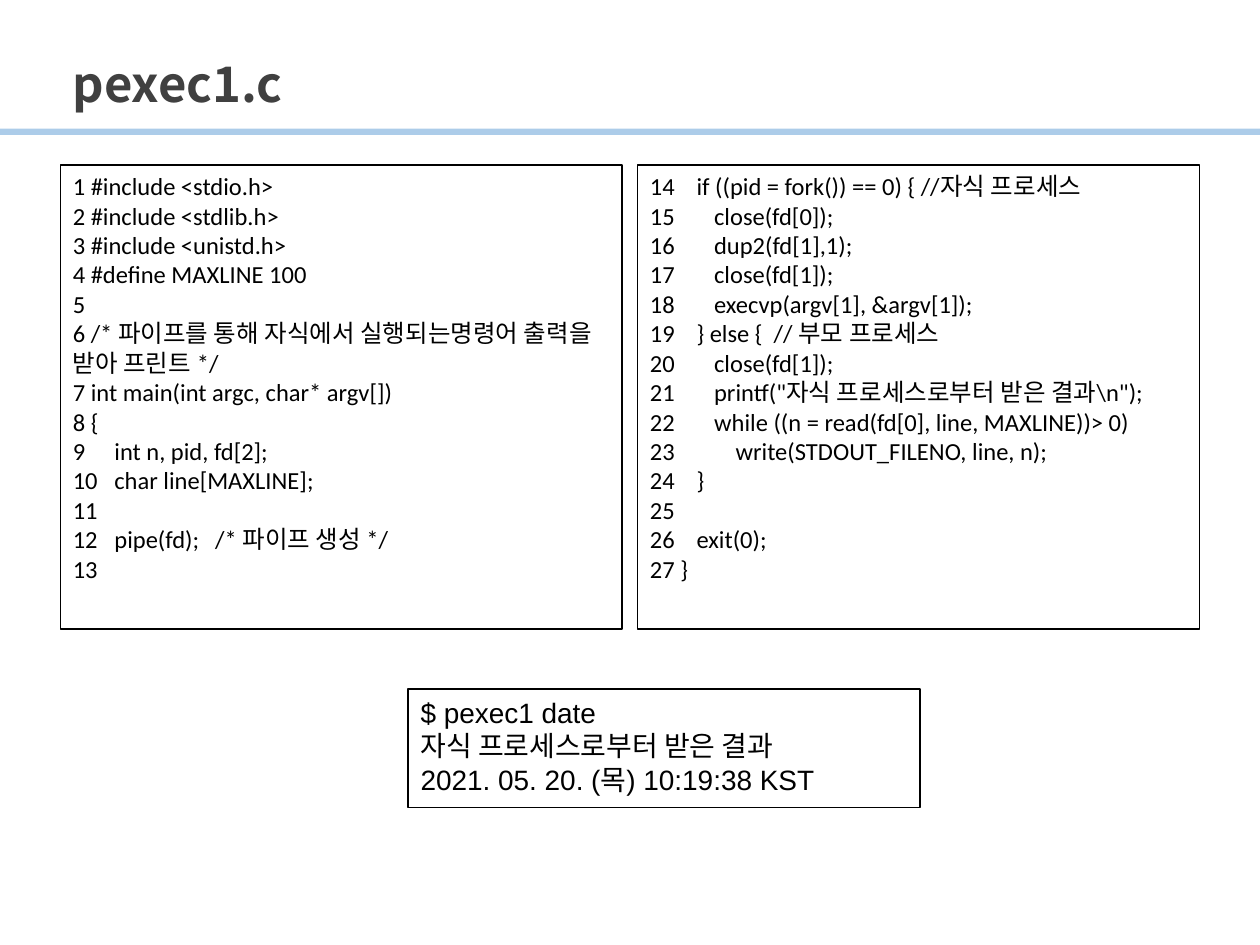
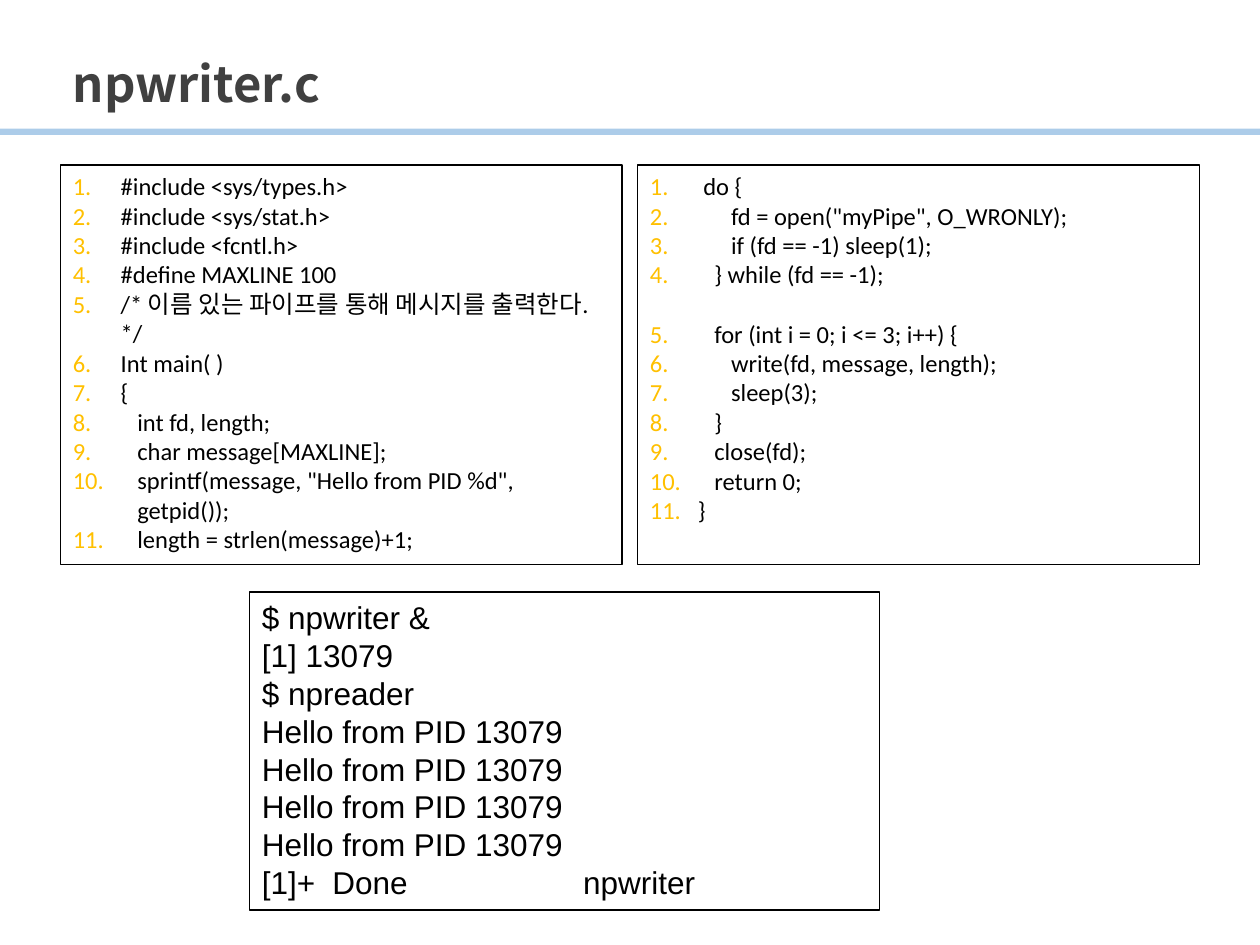
"""Build two slides of C pipe programs with their terminal output."""
import lxml.etree
import pptx
import pptx.dml.color
import pptx.enum.shapes
import pptx.enum.text
import pptx.oxml.ns
import pptx.util

Inches = pptx.util.Inches
Pt = pptx.util.Pt
qn = pptx.oxml.ns.qn

COLORS = {
    "paper": "FFFFFF",
    "ink": "000000",
    "title": "404040",
    "band": "5B9BD5",
    "number": "FFC000",
}
PANE_LEFTS = (0.48, 5.06)
PANE_TOP = 1.31
PANE_WIDTH = 4.46
NUMBER_INDENT = 0.38
SPACE_WIDTH = 0.044
CODE_SIZE = 14
BLANK_LINE = 17

PEXEC_PANES = (
    (
        (0.33, 1.13),
        """1 #include <stdio.h>
2 #include <stdlib.h>
3 #include <unistd.h>
4 #define MAXLINE 100
5
6 /* 파이프를 통해 자식에서 실행되는명령어 출력을 받아 프린트 */
7 int main(int argc, char* argv[])
8 {
9\tint n, pid, fd[2];
10\tchar line[MAXLINE];
11
12\tpipe(fd);\t/* 파이프 생성 */
13""",
    ),
    (
        (0.37, 0.51, 0.68),
        """14\tif ((pid = fork()) == 0) { //자식 프로세스
15\t\tclose(fd[0]);
16\t\tdup2(fd[1],1);
17\t\tclose(fd[1]);
18\t\texecvp(argv[1], &argv[1]);
19\t} else {  // 부모 프로세스
20\t\tclose(fd[1]);
21\t\tprintf("자식 프로세스로부터 받은 결과\\n");
22\t\twhile ((n = read(fd[0], line, MAXLINE))> 0)
23\t\t\twrite(STDOUT_FILENO, line, n);
24\t}
25
26\texit(0);
27 }""",
    ),
)
PEXEC_OUTPUT = """$ pexec1 date
자식 프로세스로부터 받은 결과
2021. 05. 20. (목) 10:19:38 KST"""

NPWRITER_PANES = (
    """#include <sys/types.h>
#include <sys/stat.h>
#include <fcntl.h>
#define MAXLINE 100
/* 이름 있는 파이프를 통해 메시지를 출력한다. */
Int main( )
{
   int fd, length;
   char message[MAXLINE];
   sprintf(message, "Hello from PID %d", getpid());
   length = strlen(message)+1;""",
    """ do {
      fd = open("myPipe", O_WRONLY);
      if (fd == -1) sleep(1);
   } while (fd == -1);

   for (int i = 0; i <= 3; i++) {
      write(fd, message, length);
      sleep(3);
   }
   close(fd);
   return 0;
}""",
)
NPWRITER_OUTPUT = "\n".join(
    ["$ npwriter &", "[1] 13079", "$ npreader"]
    + ["Hello from PID 13079"] * 4
    + ["[1]+\tDone\tnpwriter"]
)


def color(name):
    """Return the named colour as an RGB value."""
    return pptx.dml.color.RGBColor.from_string(COLORS[name])


def set_font(paragraph, name, size, color_name="ink", bold=False):
    """Set one font for a whole paragraph."""
    font = paragraph.font
    font.name, font.size, font.bold = name, Pt(size), bold
    font.color.rgb = color(color_name)


def set_tab_stops(paragraph, stops):
    """Give a paragraph left tab stops at lengths in inches."""
    tab_list = lxml.etree.SubElement(paragraph._p.get_or_add_pPr(), qn("a:tabLst"))
    for stop in stops:
        lxml.etree.SubElement(tab_list, qn("a:tab"), pos=str(Inches(stop)), algn="l")


def set_number(paragraph, indent):
    """Number a paragraph automatically, with its text hanging at indent."""
    properties = paragraph._p.get_or_add_pPr()
    properties.set("marL", str(Inches(indent)))
    properties.set("indent", str(-Inches(indent)))
    bullet_color = lxml.etree.SubElement(properties, qn("a:buClr"))
    lxml.etree.SubElement(bullet_color, qn("a:srgbClr"), val=COLORS["number"])
    lxml.etree.SubElement(properties, qn("a:buFont"), typeface="+mj-lt")
    lxml.etree.SubElement(properties, qn("a:buAutoNum"), type="arabicPeriod")


def add_text_box(slide, left, top, width, height):
    """Add an empty wrapping text box."""
    shape = slide.shapes.add_textbox(
        Inches(left), Inches(top), Inches(width), Inches(height)
    )
    shape.text_frame.word_wrap = True
    return shape


def add_framed_box(slide, left, top, width, height):
    """Add a white text box with a black outline and return its text frame."""
    shape = add_text_box(slide, left, top, width, height)
    shape.fill.solid()
    shape.fill.fore_color.rgb = color("paper")
    shape.line.color.rgb = color("ink")
    shape.line.width = Pt(1)
    return shape.text_frame


def add_text(frame, text, font_name, size, stops=()):
    """Write lines of text that share a font and tab stops."""
    frame.text = text
    for paragraph in frame.paragraphs:
        if stops:
            set_tab_stops(paragraph, stops)
        set_font(paragraph, font_name, size)


def add_numbered_code(frame, code):
    """Write numbered code, turning leading spaces into indents."""
    lines = code.split("\n")
    frame.text = "\n".join(line.lstrip() for line in lines if line)
    paragraphs = iter(frame.paragraphs)
    gap = 0
    for line in lines:
        if not line:
            gap = BLANK_LINE
            continue
        paragraph = next(paragraphs)
        leading = len(line) - len(line.lstrip())
        set_number(paragraph, NUMBER_INDENT + leading * SPACE_WIDTH)
        paragraph.space_before = Pt(gap)
        set_font(paragraph, "Calibri", CODE_SIZE)
        gap = 0


def add_band(slide):
    """Add the translucent band below the title."""
    band = slide.shapes.add_shape(
        pptx.enum.shapes.MSO_SHAPE.RECTANGLE,
        Inches(0), Inches(1.02), Inches(10), Inches(0.05),
    )
    band.shadow.inherit = False
    band.line.fill.background()
    band.fill.solid()
    band.fill.fore_color.rgb = color("band")
    band_color = band._element.spPr.find(".//" + qn("a:srgbClr"))
    lxml.etree.SubElement(band_color, qn("a:alpha"), val="50000")


def add_titled_slide(presentation, title):
    """Add a blank slide with the shared band and title."""
    slide = presentation.slides.add_slide(presentation.slide_layouts[6])
    add_band(slide)
    frame = add_text_box(slide, 0.48, 0.15, 9.06, 0.8).text_frame
    frame.vertical_anchor = pptx.enum.text.MSO_ANCHOR.BOTTOM
    frame.text = title
    paragraph = frame.paragraphs[0]
    paragraph.line_spacing = 0.9
    set_font(paragraph, "Noto Sans CJK KR", 28, "title", bold=True)
    return slide


def add_pexec_slide(presentation):
    """Build the slide of the program that runs a command through a pipe."""
    slide = add_titled_slide(presentation, "pexec1.c")
    for left, (stops, code) in zip(PANE_LEFTS, PEXEC_PANES):
        frame = add_framed_box(slide, left, PANE_TOP, PANE_WIDTH, 3.68)
        add_text(frame, code, "Calibri", CODE_SIZE, stops)
    output = add_framed_box(slide, 3.24, 5.47, 4.06, 0.94)
    add_text(output, PEXEC_OUTPUT, "Arial", 16)


def add_npwriter_slide(presentation):
    """Build the slide of the program that writes to a named pipe."""
    slide = add_titled_slide(presentation, "npwriter.c")
    for left, code in zip(PANE_LEFTS, NPWRITER_PANES):
        frame = add_framed_box(slide, left, PANE_TOP, PANE_WIDTH, 3.17)
        add_numbered_code(frame, code)
    output = add_framed_box(slide, 1.98, 4.7, 5, 2.52)
    add_text(output, NPWRITER_OUTPUT, "Arial", 18, (0.56, 2.55))


def main():
    """Build and save the presentation."""
    presentation = pptx.Presentation()
    presentation.slide_width = Inches(10)
    presentation.slide_height = Inches(7.5)
    add_pexec_slide(presentation)
    add_npwriter_slide(presentation)
    presentation.save("out.pptx")


if __name__ == "__main__":
    main()
